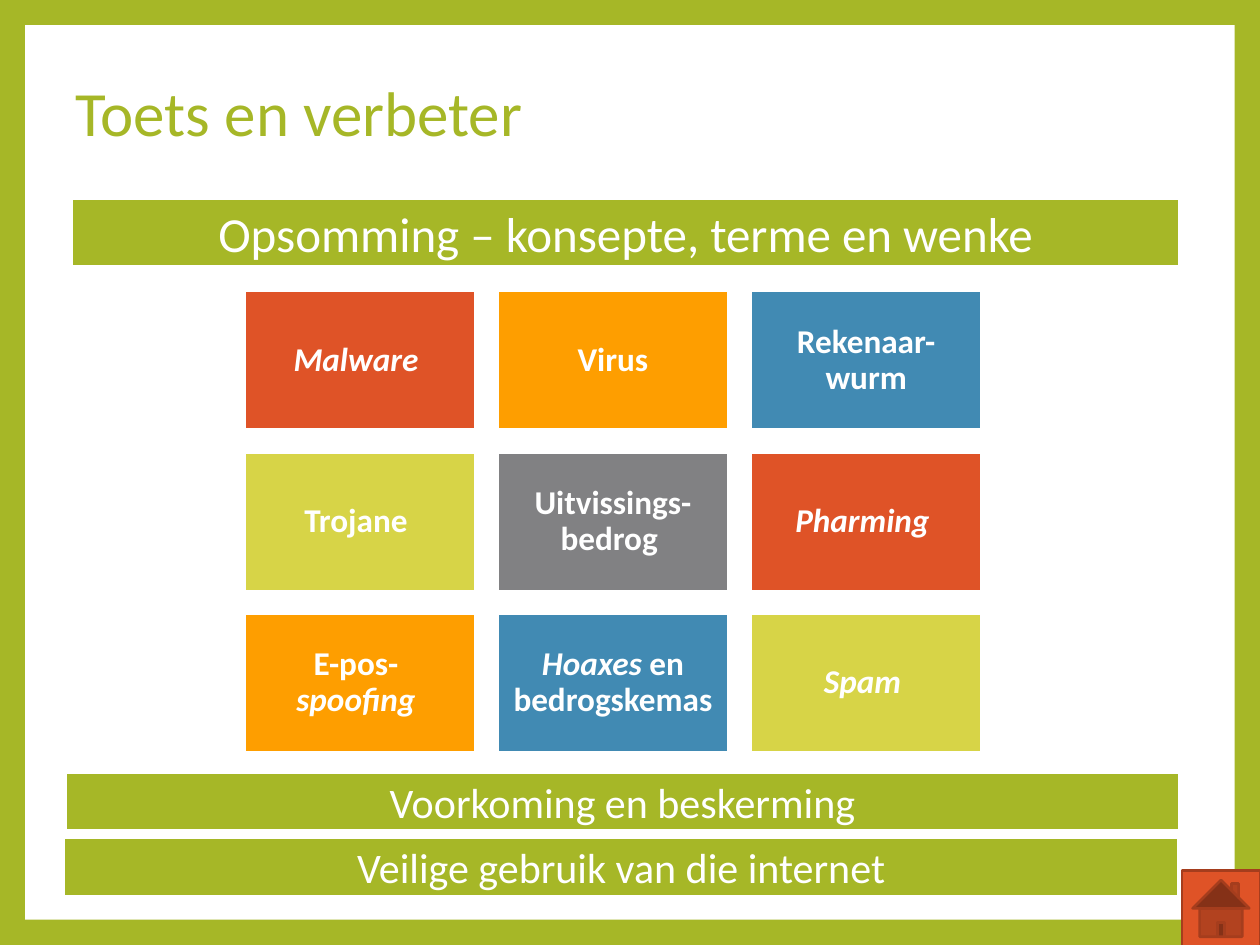
from pptx import Presentation
from pptx.dml.color import RGBColor
from pptx.enum.shapes import MSO_SHAPE as Shape
from pptx.enum.text import MSO_ANCHOR as Anchor, MSO_AUTO_SIZE as Fit, PP_ALIGN as Align
from pptx.util import Inches, Pt

GREEN, WHITE, RED, ORANGE = "A6B727", "FFFFFF", "DF5327", "FE9E00"
BLUE, LIME, GREY, RUST = "418AB3", "D7D447", "818183", "A53D1D"
TITLE = "Toets en verbeter"
TERMS = [
    (RED, [("Malware ", True)]),
    (ORANGE, [("Virus", False)]),
    (BLUE, [("Rekenaar-wurm", False)]),
    (LIME, [("Trojane ", False)]),
    (GREY, [("Uitvissings-bedrog ", False)]),
    (RED, [("Pharming ", True)]),
    (ORANGE, [("E-pos- ", False), ("\n", False), ("spoofing ", True)]),
    (BLUE, [("Hoaxes ", True), ("en bedrogskemas", False)]),
    (LIME, [("Spam ", True)]),
]
BARS = [
    ("Voorkoming en beskerming", 24, (0.5, 6.11, 8.88, 0.5)),
    ("Veilige gebruik van die internet", 24, (0.49, 6.63, 8.88, 0.5)),
    ("Opsomming – konsepte, terme en wenke", 28, (0.55, 1.56, 8.83, 0.57)),
]
COLS, LEFT, TOP = 3, 1.94, 2.31
WIDE, HIGH, STEP_X, STEP_Y = 1.83, 1.1, 2.01, 1.28


def rgb(code):
    """Turn a hex string into a colour."""
    return RGBColor.from_string(code)


def paint(shape, fill, line=None, width=0):
    """Fill and outline a shape."""
    shape.fill.solid()
    shape.fill.fore_color.rgb = rgb(fill)
    if line:
        shape.line.color.rgb = rgb(line)
        shape.line.width = Pt(width)
    else:
        shape.line.fill.background()


def draw(slide, kind, box, fill, line=None, width=0):
    """Add a flat preset shape."""
    shape = slide.shapes.add_shape(kind, *map(Inches, box))
    shape.shadow.inherit = False
    paint(shape, fill, line, width)
    return shape


def write(shape, runs, size, color, align, bold=False, inset=None, space=None):
    """Write one paragraph of (text, italic) runs into a shape."""
    frame = shape.text_frame
    frame.word_wrap = True
    frame.auto_size = Fit.NONE
    frame.vertical_anchor = Anchor.MIDDLE
    if inset is not None:
        frame.margin_left = frame.margin_right = Inches(inset)
        frame.margin_top = frame.margin_bottom = Inches(inset)
    para = frame.paragraphs[0]
    para.alignment = align
    if space:
        para.line_spacing = space
    font = para.font
    font.name, font.size, font.bold = "Calibri", Pt(size), bold
    font.color.rgb = rgb(color)
    for text, slant in runs:
        if text == "\n":
            para.add_line_break()
            continue
        run = para.add_run()
        run.text = text
        if slant:
            run.font.italic = True


def main():
    """Build the summary slide."""
    deck = Presentation()
    deck.slide_width, deck.slide_height = Inches(10), Inches(7.5)
    slide = deck.slides.add_slide(deck.slide_layouts[5])
    back = slide.background.fill
    back.solid()
    back.fore_color.rgb = rgb(GREEN)

    panel = draw(slide, Shape.RECTANGLE, (0.2, 0.2, 9.6, 7.1), WHITE)
    title = slide.shapes.title
    panel._element.addnext(title._element)
    title.left, title.top, title.width, title.height = map(Inches, (0.5, 0.3, 8.88, 1.25))
    paint(title, WHITE, WHITE, 0.75)
    write(title, [(TITLE, False)], 36, GREEN, Align.LEFT, space=0.9)

    for i, (fill, runs) in enumerate(TERMS):
        row, col = divmod(i, COLS)
        box = (LEFT + col * STEP_X, TOP + row * STEP_Y, WIDE, HIGH)
        tile = draw(slide, Shape.RECTANGLE, box, fill, WHITE, 1.5)
        write(tile, runs, 19, WHITE, Align.CENTER, True, 0.08, 0.9)

    for text, size, box in BARS:
        bar = draw(slide, Shape.RECTANGLE, box, GREEN, WHITE, 4.25)
        write(bar, [(text, False)], size, WHITE, Align.CENTER)

    draw(slide, Shape.ACTION_BUTTON_HOME, (9.38, 6.91, 0.62, 0.6), RED, RUST, 1.5)
    deck.save("out.pptx")


if __name__ == "__main__":
    main()
